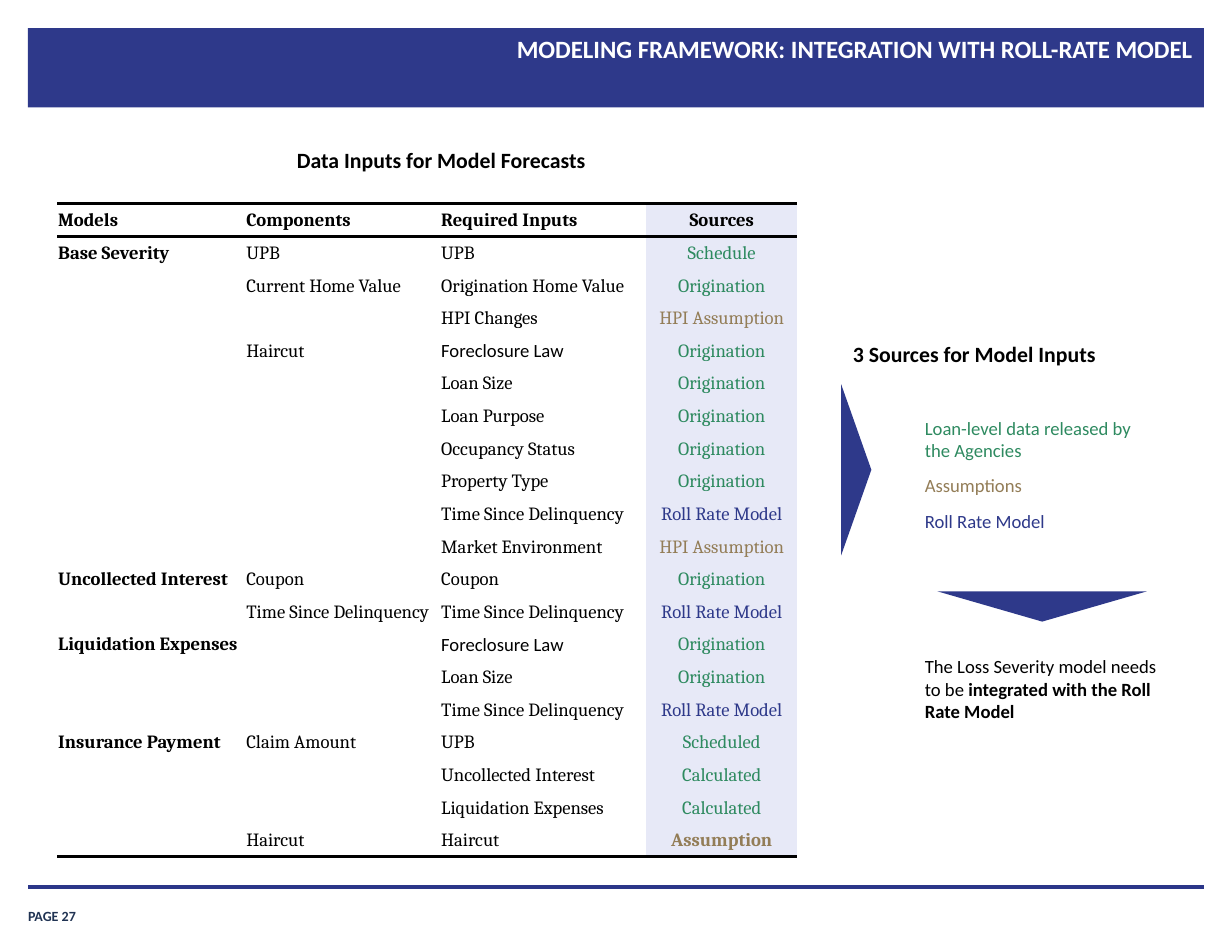
from pptx import Presentation
from pptx.dml.color import RGBColor
from pptx.enum.shapes import MSO_CONNECTOR, MSO_SHAPE
from pptx.enum.text import MSO_ANCHOR, PP_ALIGN
from pptx.oxml import parse_xml
from pptx.oxml.ns import nsdecls, qn
from pptx.util import Inches, Pt

COLS, ROWS = 44, 34
CELL = Inches(0.25)

NAVY, GREEN, TAN, BLACK, WHITE = "2E398A", "2E8A60", "937D57", "000000", "FFFFFF"
RULE, PAGE, LAVENDER = "2B3689", "203353", "E7E9F7"
NO_STYLE = "{2D5ABB26-0587-4C30-8999-92F81FD0307C}"
INSETS = (0.1, 0.05, 0.1, 0.05)

SOURCE_COLORS = {
    "Schedule": GREEN, "Scheduled": GREEN, "Origination": GREEN, "Calculated": GREEN,
    "HPI Assumption": TAN, "Assumption": TAN, "Roll Rate Model": NAVY,
}
COLUMN_WIDTHS = (6.72, 6.96, 7.36, 5.4)
INPUTS = [
    ("Models", "Components", "Required Inputs", "Sources"),
    ("Base Severity", "UPB", "UPB", "Schedule"),
    ("", "Current Home Value", "Origination Home Value", "Origination"),
    ("", "", "HPI Changes", "HPI Assumption"),
    ("", "Haircut", "Foreclosure Law", "Origination"),
    ("", "", "Loan Size", "Origination"),
    ("", "", "Loan Purpose", "Origination"),
    ("", "", "Occupancy Status", "Origination"),
    ("", "", "Property Type", "Origination"),
    ("", "", "Time Since Delinquency", "Roll Rate Model"),
    ("", "", "Market Environment", "HPI Assumption"),
    ("Uncollected Interest", "Coupon", "Coupon", "Origination"),
    ("", "Time Since Delinquency", "Time Since Delinquency", "Roll Rate Model"),
    ("Liquidation Expenses", "", "Foreclosure Law", "Origination"),
    ("", "", "Loan Size", "Origination"),
    ("", "", "Time Since Delinquency", "Roll Rate Model"),
    ("Insurance Payment", "Claim Amount", "UPB", "Scheduled"),
    ("", "", "Uncollected Interest", "Calculated"),
    ("", "", "Liquidation Expenses", "Calculated"),
    ("", "Haircut", "Haircut", "Assumption"),
]


def grid(*units):
    """Turn grid columns or rows into lengths."""
    return [round(u * CELL) for u in units]


def rgb(color):
    return RGBColor.from_string(color)


def add_run(p, text, size, color, bold=False, font="Calibri"):
    r = p.add_run()
    r.text = text
    r.font.name, r.font.size, r.font.bold = font, Pt(size), bold
    r.font.color.rgb = rgb(color)


def add_text(s, box, runs, size, color, align=PP_ALIGN.LEFT,
             anchor=MSO_ANCHOR.TOP, insets=INSETS):
    """Add a one-paragraph text box; runs are (text, bold) pairs."""
    tf = s.shapes.add_textbox(*grid(*box)).text_frame
    tf.word_wrap = True
    tf.vertical_anchor = anchor
    tf.margin_left, tf.margin_top, tf.margin_right, tf.margin_bottom = map(Inches, insets)
    p = tf.paragraphs[0]
    p.alignment = align
    for text, bold in runs:
        add_run(p, text, size, color, bold)


def add_solid(s, kind, box, rotation=0):
    sp = s.shapes.add_shape(kind, *grid(*box))
    sp.shadow.inherit = False
    sp.fill.solid()
    sp.fill.fore_color.rgb = rgb(NAVY)
    sp.line.fill.background()
    sp.rotation = rotation


def add_rule(s, x1, x2, y):
    line = s.shapes.add_connector(MSO_CONNECTOR.STRAIGHT, *grid(x1, y, x2, y))
    line.line.color.rgb = rgb(RULE)
    line.line.width = Pt(2)
    line._element.spPr.append(parse_xml(f"<a:effectLst {nsdecls('a')}/>"))


def add_border(cell, side):
    """Draw a 2 pt black border; call before the cell is filled."""
    cell._tc.get_or_add_tcPr().append(parse_xml(
        f'<a:ln{side} {nsdecls("a")} w="{Pt(2)}"><a:solidFill>'
        f'<a:srgbClr val="{BLACK}"/></a:solidFill></a:ln{side}>'))


def fill_cell(cell, text, row, col):
    is_source = col == len(COLUMN_WIDTHS) - 1
    is_last = row == len(INPUTS) - 1
    if row == 0:
        add_border(cell, "T")
    if row == 0 or is_last:
        add_border(cell, "B")
    cell.fill.solid()
    cell.fill.fore_color.rgb = rgb(LAVENDER if is_source else WHITE)
    cell.margin_left = cell.margin_top = cell.margin_right = Inches(0.01)
    cell.margin_bottom = 0
    cell.vertical_anchor = MSO_ANCHOR.MIDDLE
    p = cell.text_frame.paragraphs[0]
    if not text:
        p._p.get_or_add_endParaRPr().set("sz", "1200")
        return
    p.alignment = PP_ALIGN.CENTER if is_source else PP_ALIGN.LEFT
    bold = row == 0 or col == 0 or (is_source and is_last)
    font = "Calibri" if text == "Foreclosure Law" else "Cambria"
    add_run(p, text, 12, SOURCE_COLORS.get(text, BLACK), bold, font)


def add_inputs_table(s, box):
    table = s.shapes.add_table(len(INPUTS), len(COLUMN_WIDTHS), *grid(*box)).table
    table.first_row = table.horz_banding = False
    table._tbl.tblPr.find(qn("a:tableStyleId")).text = NO_STYLE
    for column, width in zip(table.columns, grid(*COLUMN_WIDTHS)):
        column.width = width
    for i, texts in enumerate(INPUTS):
        for j, text in enumerate(texts):
            fill_cell(table.cell(i, j), text, i, j)


def main():
    prs = Presentation()
    prs.slide_width, prs.slide_height = grid(COLS, ROWS)
    s = prs.slides.add_slide(prs.slide_layouts[6])

    add_solid(s, MSO_SHAPE.RECTANGLE, (1, 1, COLS - 2, 2.84))
    add_text(s, (1, 32.08, 3.64, 0.92), [("PAGE 27", True)], 9, PAGE,
             anchor=MSO_ANCHOR.BOTTOM, insets=(0, 0, 0, 0))
    add_rule(s, 1, COLS - 1, 31.68)
    add_text(s, (13.28, 0.96, 29.76, 2.96),
             [("MODELING FRAMEWORK: INTEGRATION WITH ROLL-RATE MODEL", True)],
             16, WHITE, PP_ALIGN.RIGHT, insets=(0.11, 0.06, 0.11, 0.06))

    add_inputs_table(s, (2.04, 7.28, sum(COLUMN_WIDTHS), 23.32))

    for x, y, heading in ((9.26, 5.04, "Data Inputs for Model Forecasts"),
                          (28.3, 11.96, "3 Sources for Model Inputs")):
        add_text(s, (x, y, 13, 1.36), [(heading, True)], 14, BLACK, PP_ALIGN.CENTER)

    notes = (
        (14.68, 2, GREEN, [("Loan-level data released by the Agencies", False)]),
        (16.72, 1.2, TAN, [("Assumptions", False)]),
        (18, 1.2, NAVY, [("Roll Rate Model", False)]),
        (23.2, 2.84, BLACK, [("The Loss Severity model needs to be", False),
                             (" integrated with the Roll Rate Model", True)]),
    )
    for y, height, color, runs in notes:
        add_text(s, (32.64, y, 9.2, height), runs, 12, color)

    add_solid(s, MSO_SHAPE.ISOSCELES_TRIANGLE, (27.52, 16.24, 6.12, 1.08), 90)
    add_solid(s, MSO_SHAPE.ISOSCELES_TRIANGLE, (33.48, 21.12, 7.48, 1.08), 180)

    prs.save("out.pptx")


if __name__ == "__main__":
    main()
